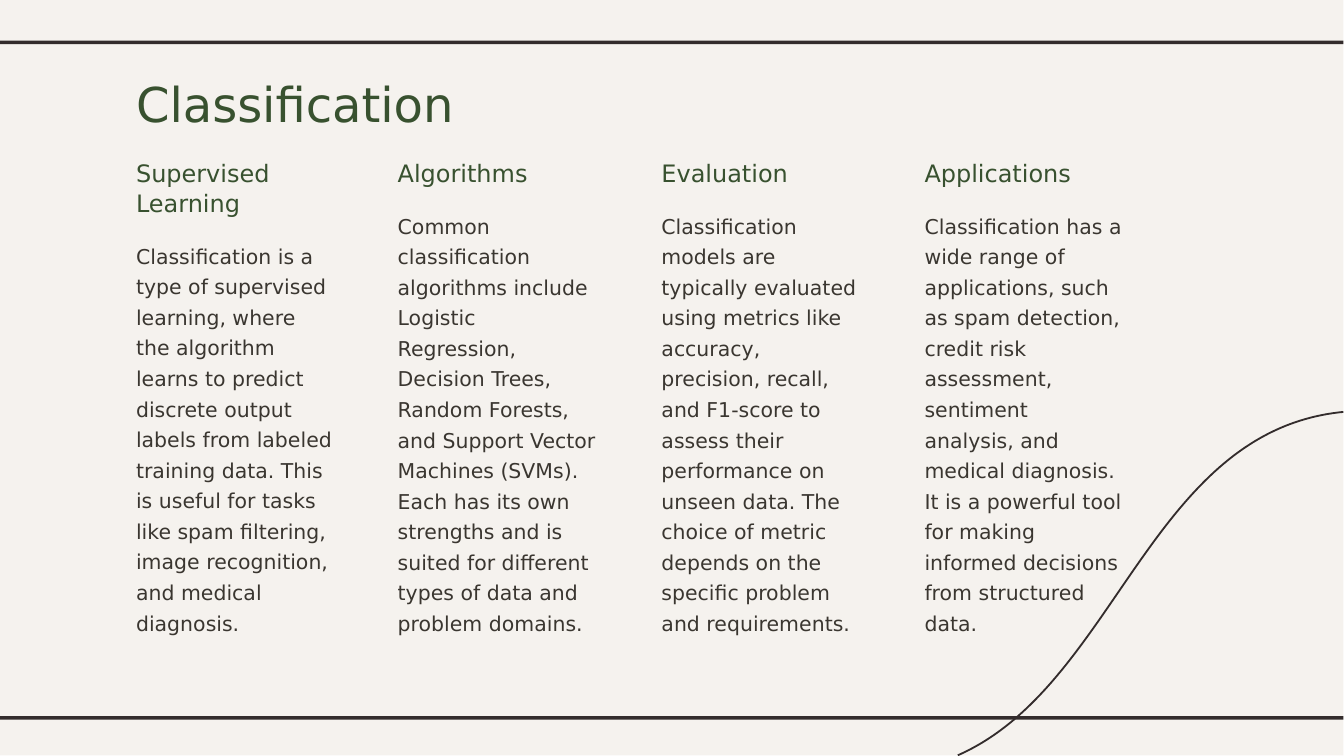
from typing import NamedTuple

from pptx import Presentation
from pptx.dml.color import RGBColor
from pptx.enum.shapes import MSO_SHAPE as Shape
from pptx.util import Emu, Pt

PX = 9525  # EMU per px, 96 px to the inch
FONT = "DejaVu Sans"
CREAM = RGBColor(0xF5, 0xF2, 0xEE)
DARK = RGBColor(0x33, 0x2C, 0x2C)
GREEN = RGBColor(0x38, 0x51, 0x2F)
BROWN = RGBColor(0x3A, 0x36, 0x30)

PANEL_W, PANEL_H = 1920, 1080
RULE_TOPS, RULE_H = (58, 1024), 5
HEADING_TOP, HEADING_W, HEADING_LINE = 220, 273, 43
BODY_TOP, BODY_W = 292, 304
CURVE = ((1920, 589), (1643, 616), (1596, 980), (1369, 1080))
CURVE_STEPS = 150


class Style(NamedTuple):
    size: float
    leading: float
    color: RGBColor


class Column(NamedTuple):
    left: int
    heading: str
    heading_lines: int
    body: str
    body_h: int


TITLE = Style(51.5, 64.4, GREEN)
HEADING = Style(25.7, 32.2, GREEN)
BODY = Style(21.9, 32.8, BROWN)

COLUMNS = [
    Column(185, "Supervised Learning", 2,
           "Classification is a type of supervised learning, where the algorithm "
           "learns to predict discrete output labels from labeled training data. "
           "This is useful for tasks like spam filtering, image recognition, and "
           "medical diagnosis.", 525),
    Column(559, "Algorithms", 1,
           "Common classification algorithms include Logistic Regression, Decision "
           "Trees, Random Forests, and Support Vector Machines (SVMs). Each has its "
           "own strengths and is suited for different types of data and problem "
           "domains.", 569),
    Column(936, "Evaluation", 1,
           "Classification models are typically evaluated using metrics like "
           "accuracy, precision, recall, and F1-score to assess their performance "
           "on unseen data. The choice of metric depends on the specific problem "
           "and requirements.", 525),
    Column(1312, "Applications", 1,
           "Classification has a wide range of applications, such as spam "
           "detection, credit risk assessment, sentiment analysis, and medical "
           "diagnosis. It is a powerful tool for making informed decisions from "
           "structured data.", 569),
]


def px(n: int) -> Emu:
    return Emu(n * PX)


def add_rect(slide, top: int, height: int, color: RGBColor) -> None:
    sp = slide.shapes.add_shape(Shape.RECTANGLE, 0, px(top), px(PANEL_W), px(height))
    sp.shadow.inherit = False
    sp.fill.solid()
    sp.fill.fore_color.rgb = color
    sp.line.fill.background()


def add_text(slide, left: int, top: int, width: int, height: int,
             text: str, style: Style) -> None:
    tf = slide.shapes.add_textbox(px(left), px(top), px(width), px(height)).text_frame
    tf.word_wrap = True
    p = tf.paragraphs[0]
    p.text = text
    p.line_spacing = Pt(style.leading)
    p.font.name = FONT
    p.font.size = Pt(style.size)
    p.font.color.rgb = style.color


def bezier(t: float) -> tuple[float, float]:
    weights = ((1 - t) ** 3, 3 * t * (1 - t) ** 2, 3 * t * t * (1 - t), t ** 3)
    x, y = (sum(w * c for w, c in zip(weights, axis)) for axis in zip(*CURVE))
    return x * PX, y * PX


def add_curve(slide) -> None:
    start, *rest = [bezier(i / CURVE_STEPS) for i in range(CURVE_STEPS + 1)]
    builder = slide.shapes.build_freeform(*start)
    builder.add_line_segments(rest, close=False)
    sp = builder.convert_to_shape()
    sp.shadow.inherit = False
    sp.fill.background()
    sp.line.color.rgb = DARK
    sp.line.width = Pt(1.97)


def main() -> None:
    prs = Presentation()
    prs.slide_width, prs.slide_height = px(1921), px(1081)
    slide = prs.slides.add_slide(prs.slide_layouts[6])

    # Panel, curve and rules
    add_rect(slide, 0, PANEL_H, CREAM)
    add_curve(slide)
    for top in RULE_TOPS:
        add_rect(slide, top, RULE_H, DARK)

    # Title
    add_text(slide, COLUMNS[0].left, 99, 686, 85, "Classification", TITLE)

    # Columns: a second heading line pushes the body down
    for col in COLUMNS:
        body_top = BODY_TOP + (col.heading_lines - 1) * HEADING_LINE
        add_text(slide, col.left, HEADING_TOP, HEADING_W,
                 col.heading_lines * HEADING_LINE, col.heading, HEADING)
        add_text(slide, col.left, body_top, BODY_W, col.body_h, col.body, BODY)

    prs.save("out.pptx")


if __name__ == "__main__":
    main()
